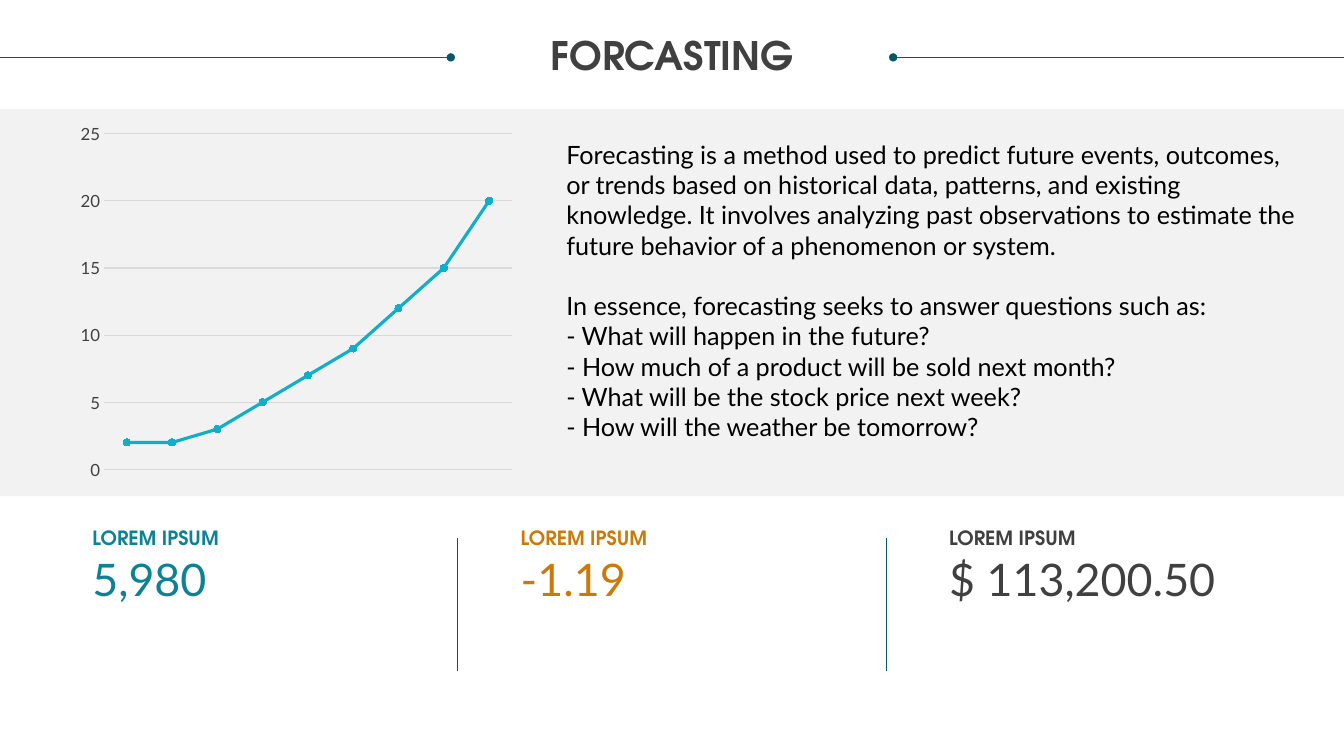
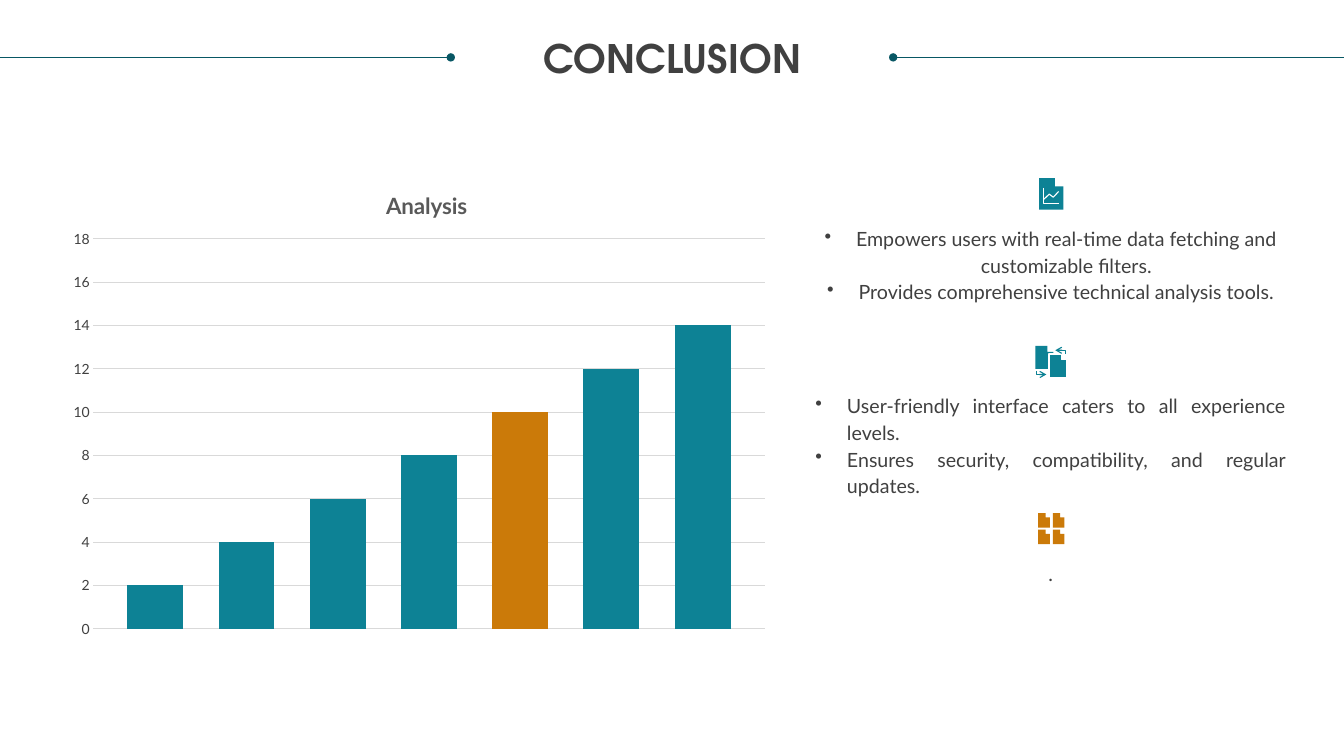
from lxml import etree
from pptx import Presentation
from pptx.chart.data import CategoryChartData
from pptx.dml.color import RGBColor
from pptx.enum.chart import XL_CHART_TYPE, XL_MARKER_STYLE, XL_TICK_MARK
from pptx.enum.shapes import MSO_CONNECTOR, MSO_SHAPE
from pptx.enum.text import PP_ALIGN
from pptx.oxml.ns import qn
from pptx.util import Pt

# Style
TEAL = RGBColor(0x0D, 0x82, 0x95)
DARK_TEAL = RGBColor(0x08, 0x57, 0x64)
CYAN = RGBColor(0x11, 0xAE, 0xC7)
ORANGE = RGBColor(0xCB, 0x7A, 0x09)
DARK_GRAY = RGBColor(0x40, 0x40, 0x40)
TITLE_GRAY = RGBColor(0x59, 0x59, 0x59)
GRID_GRAY = RGBColor(0xD9, 0xD9, 0xD9)
BAND_GRAY = RGBColor(0xF2, 0xF2, 0xF2)
BLACK = RGBColor(0, 0, 0)
WHITE = RGBColor(0xFF, 0xFF, 0xFF)
BODY_FONT = "Lato"
HEAD_FONT = "TeX Gyre Adventor"
LEFT, CENTER, JUSTIFY = PP_ALIGN.LEFT, PP_ALIGN.CENTER, PP_ALIGN.JUSTIFY
LINE_CHART = XL_CHART_TYPE.LINE_MARKERS
COLUMN_CHART = XL_CHART_TYPE.COLUMN_CLUSTERED
CIRCLE = XL_MARKER_STYLE.CIRCLE
NO_TICK = XL_TICK_MARK.NONE
RECTANGLE = MSO_SHAPE.RECTANGLE
STRAIGHT = MSO_CONNECTOR.STRAIGHT
WIDTH, HEIGHT = 960, 540
BLANK_LAYOUT = 6


def style_font(font, size, color, name=BODY_FONT, bold=False):
    font.size, font.name, font.bold = Pt(size), name, bold
    font.color.rgb = color


def add_line_end(shape, end, kind, size="med"):
    line = shape.element.spPr.find(qn("a:ln"))
    etree.SubElement(line, qn(f"a:{end}"), type=kind, w=size, len=size)


def set_layout(parent, index, **fractions):
    """Place a chart part by fractions of the chart size."""
    for old in parent.findall(qn("c:layout")):
        parent.remove(old)
    layout = etree.Element(qn("c:layout"))
    manual = etree.SubElement(layout, qn("c:manualLayout"))
    if "w" in fractions:
        etree.SubElement(manual, qn("c:layoutTarget"), val="inner")
    for key in "xy":
        etree.SubElement(manual, qn(f"c:{key}Mode"), val="edge")
    for key, value in fractions.items():
        etree.SubElement(manual, qn(f"c:{key}"), val=str(value))
    parent.insert(index, layout)


class SlideBuilder:
    def __init__(self):
        self.deck = Presentation()
        self.deck.slide_width, self.deck.slide_height = Pt(WIDTH), Pt(HEIGHT)
        self.shapes = None

    def new_slide(self, title, title_top):
        layout = self.deck.slide_layouts[BLANK_LAYOUT]
        self.shapes = self.deck.slides.add_slide(layout).shapes
        left_rule = self.line(0, 41, 322, 41)
        right_rule = self.line(638, 41, WIDTH, 41)
        add_line_end(left_rule, "tailEnd", "oval")
        add_line_end(right_rule, "headEnd", "oval")
        self.text([title], 18, title_top, 924, 30, 28, DARK_GRAY, HEAD_FONT,
                  bold=True, align=CENTER, spacing=0.9)

    def line(self, x1, y1, x2, y2):
        line = self.shapes.add_connector(STRAIGHT, Pt(x1), Pt(y1), Pt(x2), Pt(y2))
        line.line.color.rgb, line.line.width = DARK_TEAL, Pt(0.5)
        etree.SubElement(line.element.spPr, qn("a:effectLst"))
        return line

    def band(self, top, height):
        band = self.shapes.add_shape(RECTANGLE, 0, Pt(top), Pt(WIDTH), Pt(height))
        band.shadow.inherit = False
        band.fill.solid()
        band.fill.fore_color.rgb = BAND_GRAY
        band.line.fill.background()

    def text(self, lines, left, top, width, height, size, color, font=BODY_FONT,
             bold=False, align=LEFT, spacing=None, bullets=False):
        box = self.shapes.add_textbox(Pt(left), Pt(top), Pt(width), Pt(height))
        frame = box.text_frame
        frame.word_wrap = True
        frame.margin_left = frame.margin_right = 0
        frame.margin_top = frame.margin_bottom = 0
        frame.text = "\n".join(lines)
        for para in frame.paragraphs:
            para.alignment = align
            para.line_spacing = spacing
            for span in para.runs:
                style_font(span.font, size, color, font, bold)
            if bullets:
                properties = para._p.get_or_add_pPr()
                properties.set("marL", str(Pt(22.5)))
                properties.set("indent", str(-Pt(22.5)))
                etree.SubElement(properties, qn("a:buChar"), char="•")
        return frame

    def chart(self, kind, categories, series, left, top, width, height,
              maximum, step, label_size, plot_area):
        data = CategoryChartData()
        data.categories = categories
        for name, values in series:
            data.add_series(name, values)
        chart = self.shapes.add_chart(
            kind, Pt(left), Pt(top), Pt(width), Pt(height), data).chart
        style_font(chart.font, 10, BLACK)
        chart.has_legend = chart.has_title = False
        chart.category_axis.visible = False
        axis = chart.value_axis
        axis.minimum_scale, axis.maximum_scale = 0, maximum
        axis.major_unit = step
        axis.major_tick_mark = axis.minor_tick_mark = NO_TICK
        axis.format.line.fill.background()
        style_font(axis.tick_labels.font, label_size, DARK_GRAY)
        grid = axis.major_gridlines.format.line
        grid.color.rgb, grid.width = GRID_GRAY, Pt(0.75)
        chart.plots[0].vary_by_categories = False
        set_layout(chart.element.find(".//" + qn("c:plotArea")), 0, **plot_area)
        return chart

    def outline(self, points, fill=None, stroke=None, weight=1, closed=True):
        points = [(Pt(x), Pt(y)) for x, y in points]
        builder = self.shapes.build_freeform(*points[0], scale=1.0)
        builder.add_line_segments(points[1:], close=closed)
        shape = builder.convert_to_shape()
        shape.shadow.inherit = False
        if fill is None:
            shape.fill.background()
        else:
            shape.fill.solid()
            shape.fill.fore_color.rgb = fill
        if stroke is None:
            shape.line.fill.background()
        else:
            shape.line.color.rgb, shape.line.width = stroke, Pt(weight)
        return shape

    def paper(self, left, top, width, height, fold, color, stroke=None):
        """A sheet with a folded top right corner."""
        right, bottom = left + width, top + height
        self.outline([(left, top), (right - fold, top), (right - fold, top + fold),
                      (right, top + fold), (right, bottom), (left, bottom)],
                     color, stroke)


def build_forecast(page):
    page.new_slide("FORCASTING", 26)
    page.band(78, 276.5)
    page.shapes._spTree.insert(2, page.shapes[-1].element)

    # Trend chart
    chart = page.chart(LINE_CHART, [str(n) for n in range(1, 10)],
                       [("Series 1", (2, 2, 3, 5, 7, 9, 12, 15, 20))],
                       52, 85, 320, 263.5, 25, 5, 12,
                       {"x": 0.07, "y": 0.04, "w": 0.91, "h": 0.91})
    trend = chart.plots[0].series[0]
    trend.smooth = False
    trend.format.line.color.rgb, trend.format.line.width = CYAN, Pt(2.25)
    trend.marker.style, trend.marker.size = CIRCLE, 5
    trend.marker.format.fill.solid()
    trend.marker.format.fill.fore_color.rgb = CYAN
    trend.marker.format.line.color.rgb = CYAN

    # Explanation
    frame = page.text([
        "Forecasting is a method used to predict future events, outcomes, or trends "
        "based on historical data, patterns, and existing knowledge. It involves "
        "analyzing past observations to estimate the future behavior of a "
        "phenomenon or system.",
        "In essence, forecasting seeks to answer questions such as:",
        "- What will happen in the future?",
        "- How much of a product will be sold next month?",
        "- What will be the stock price next week?",
        "- How will the weather be tomorrow?",
    ], 404.5, 99.5, 523, 218, 18, BLACK)
    frame.paragraphs[0].space_after = Pt(21.6)

    # Key figures
    figures = [("5,980", TEAL), ("-1.19", ORANGE), ("$ 113,200.50", DARK_GRAY)]
    for index, (figure, color) in enumerate(figures):
        left = 66 + 306 * index
        page.text(["LOREM IPSUM"], left, 373.5, 216, 17.5, 14, color, HEAD_FONT,
                  bold=True, spacing=Pt(19))
        page.text([figure], left, 394, 216, 39, 32, color)
        if index:
            page.line(left - 45, 384.5, left - 45, 479.5)


def build_conclusion(page):
    page.new_slide("CONCLUSION", 28)

    # Analysis chart
    series = [(f"Series {n}", (2 * n,)) for n in range(1, 8)]
    chart = page.chart(COLUMN_CHART, ["1"], series, 41, 119, 515.5, 344, 18, 2, 10,
                       {"x": 0.05, "y": 0.15, "w": 0.93, "h": 0.81})
    plot = chart.plots[0]
    plot.gap_width, plot.overlap = 121, -63
    for index, column in enumerate(plot.series):
        column.format.fill.solid()
        column.format.fill.fore_color.rgb = ORANGE if index == 4 else TEAL
    chart.has_title = True
    title = chart.chart_title.text_frame
    title.text = "Analysis"
    style_font(title.paragraphs[0].runs[0].font, 16, TITLE_GRAY, bold=True)
    set_layout(chart.element.find(".//" + qn("c:title")), 1, x=0.45, y=0.04)

    # Findings
    findings = [
        (["Empowers users with real-time data fetching and customizable filters.",
          "Provides comprehensive technical analysis tools."], CENTER, True),
        (["User-friendly interface caters to all experience levels.",
          "Ensures security, compatibility, and regular updates."], JUSTIFY, True),
        (["."], CENTER, False),
    ]
    for index, (lines, align, bullets) in enumerate(findings):
        page.text(lines, 582.5, 160 + 119.5 * index, 336, 56, 14, DARK_GRAY,
                  align=align, spacing=Pt(19), bullets=bullets)

    # Report icon
    page.paper(742.3, 127.2, 17.3, 22.5, 6, TEAL)
    axes = [(745.6, 134.3), (745.6, 145.7), (756.4, 145.7)]
    trend = [(745.6, 142.4), (749.5, 138.7), (752.4, 140.9), (756.2, 136.8)]
    for points in (axes, trend):
        page.outline(points, stroke=WHITE, weight=0.8, closed=False)

    # Exchange icon
    page.paper(739.6, 247, 12.9, 16.5, 4.3, TEAL)
    page.paper(749.2, 253, 13, 17, 4, TEAL, WHITE)
    upper = [(761, 252.7), (761, 250.2), (753.8, 250.2)]
    lower = [(740.4, 265), (740.4, 267.5), (747.4, 267.5)]
    for points in (upper, lower):
        arrow = page.outline(points, stroke=TEAL, weight=0.8, closed=False)
        add_line_end(arrow, "tailEnd", "arrow", "sm")

    # Four sheets icon
    for left in (741.6, 752):
        for top in (366.5, 378.3):
            page.paper(left, top, 8.3, 10.4, 3, ORANGE)


def main():
    page = SlideBuilder()
    build_forecast(page)
    build_conclusion(page)
    page.deck.save("out.pptx")


if __name__ == "__main__":
    main()
